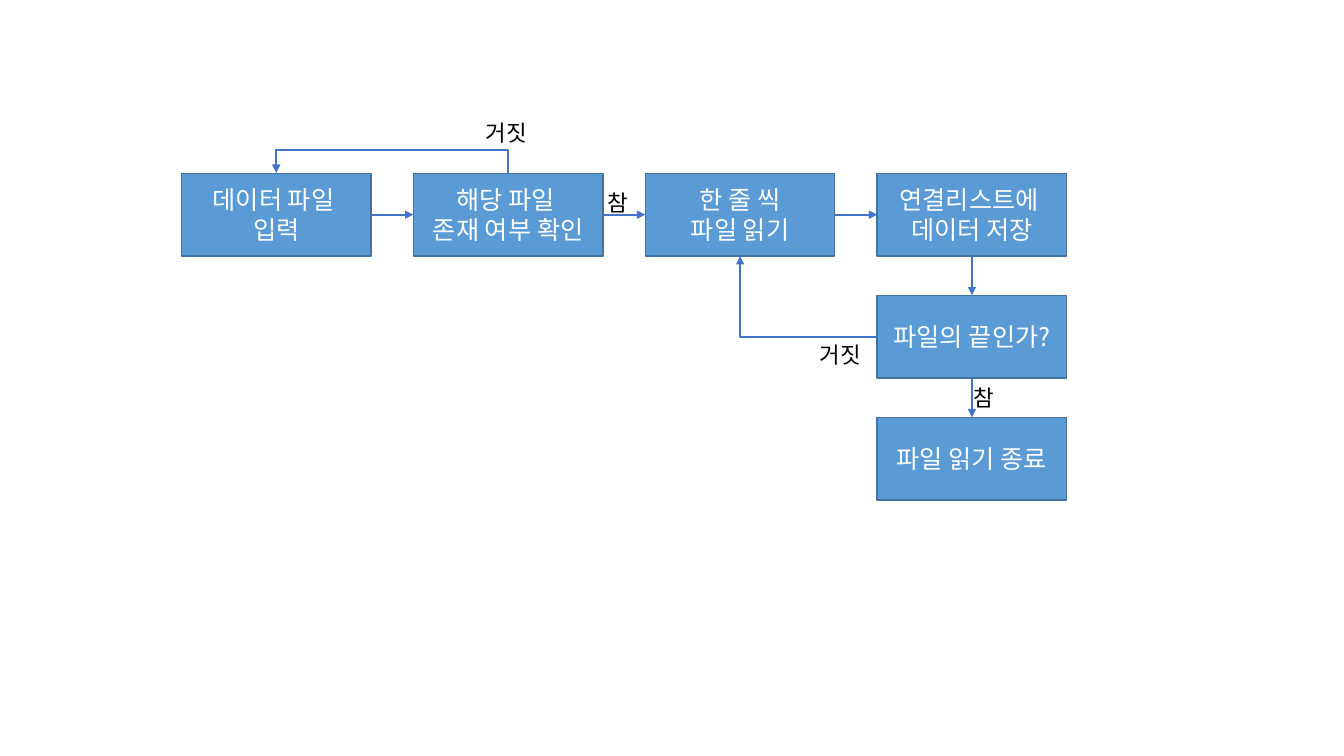
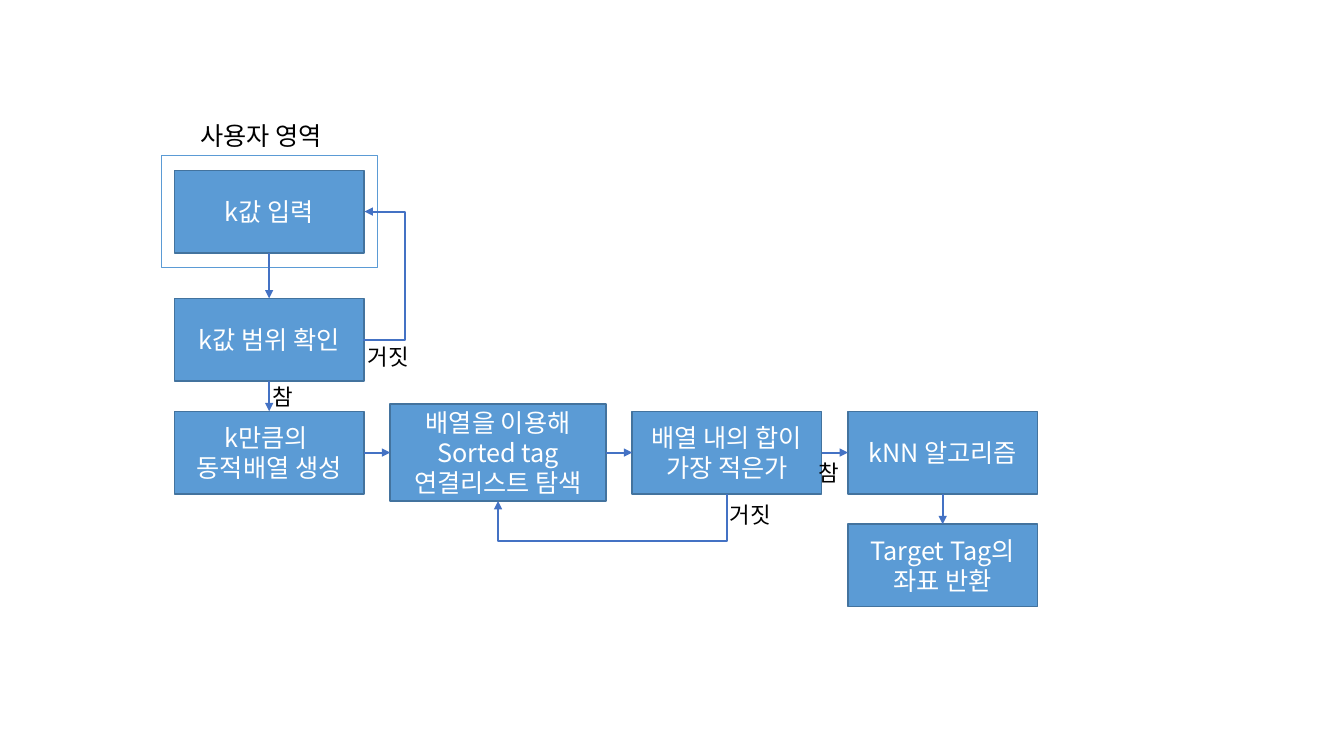
from lxml import etree
from pptx import Presentation
from pptx.dml.color import RGBColor
from pptx.enum.shapes import MSO_CONNECTOR, MSO_SHAPE
from pptx.enum.text import MSO_ANCHOR, MSO_AUTO_SIZE, PP_ALIGN
from pptx.oxml.ns import qn
from pptx.util import Inches, Pt

RECTANGLE = MSO_SHAPE.RECTANGLE
STRAIGHT, ELBOW = MSO_CONNECTOR.STRAIGHT, MSO_CONNECTOR.ELBOW
MIDDLE, CENTER, LEFT_ALIGN = MSO_ANCHOR.MIDDLE, PP_ALIGN.CENTER, PP_ALIGN.LEFT
GROW = MSO_AUTO_SIZE.SHAPE_TO_FIT_TEXT

# Shared style
FONT = "Noto Sans CJK KR"
BOX_FILL, BOX_LINE, ARROW = "5B9BD5", "43739E", "4472C4"
WHITE, BLACK = "FFFFFF", "000000"
STEP_WIDTH, STEP_HEIGHT = 1.88, 0.82
TRUE_TEXT, FALSE_TEXT = "참", "거짓"

# Connection sites of a rectangle, and the heading (degrees) when leaving each
TOP, LEFT, BOTTOM, RIGHT = range(4)
HEADING = {RIGHT: 0, BOTTOM: 90, LEFT: 180, TOP: 270}
UNIT = {0: (1, 0), 90: (0, 1), 180: (-1, 0), 270: (0, -1)}


def color(value):
    return RGBColor.from_string(value)


def write(shape, text, size, ink, align):
    frame = shape.text_frame
    frame.word_wrap = True
    frame.text = text
    for para in frame.paragraphs:
        para.alignment = align
        for span in para.runs:
            span.font.size = Pt(size)
            span.font.name = FONT
            span.font.color.rgb = color(ink)
            east_asian = etree.SubElement(span.font._element, qn("a:ea"))
            east_asian.set("typeface", FONT)


def add_rectangle(page, left, top, width, height, line, weight, fill=None):
    box = page.shapes.add_shape(RECTANGLE, Inches(left), Inches(top),
                                Inches(width), Inches(height))
    box.shadow.inherit = False
    if fill:
        box.fill.solid()
        box.fill.fore_color.rgb = color(fill)
    else:
        box.fill.background()
    box.line.color.rgb = color(line)
    box.line.width = Pt(weight)
    return box


def add_step(page, left, top, text, width=STEP_WIDTH, height=STEP_HEIGHT):
    box = add_rectangle(page, left, top, width, height, BOX_LINE, 1, BOX_FILL)
    box.text_frame.vertical_anchor = MIDDLE
    write(box, text, 18, WHITE, CENTER)
    return box


def add_label(page, left, top, text, width=0.65, height=0.37, size=16):
    box = page.shapes.add_textbox(Inches(left), Inches(top), Inches(width), Inches(height))
    write(box, text, size, BLACK, LEFT_ALIGN)
    box.text_frame.auto_size = GROW
    return box


def add_true_label(page, left, top):
    frame = add_label(page, left, top, TRUE_TEXT, width=0.14).text_frame
    frame.margin_left, frame.margin_right = Inches(0.03), 0


def site_point(box, site):
    x = box.left + {LEFT: 0, RIGHT: box.width}.get(site, box.width // 2)
    y = box.top + {TOP: 0, BOTTOM: box.height}.get(site, box.height // 2)
    return x, y


def add_arrow(page, source, exit_site, target, entry_site, kind=STRAIGHT):
    arrow = page.shapes.add_connector(kind, *site_point(source, exit_site),
                                      *site_point(target, entry_site))
    arrow.begin_connect(source, exit_site)
    arrow.end_connect(target, entry_site)
    arrow.line.color.rgb = color(ARROW)
    arrow.line.width = Pt(1.5)
    head = etree.SubElement(arrow.line._get_or_add_ln(), qn("a:tailEnd"))
    head.set("type", "triangle")
    etree.SubElement(arrow._element.spPr, qn("a:effectLst"))
    return arrow


def add_bent_arrow(page, source, exit_site, target, entry_site, reach=None):
    """Leave by exit_site; turn back after reach inches, or make one corner."""
    arrow = add_arrow(page, source, exit_site, target, entry_site, ELBOW)
    (x1, y1), (x2, y2) = site_point(source, exit_site), site_point(target, entry_site)
    angle = HEADING[exit_site]
    ux, uy = UNIT[angle]
    along = max((x2 - x1) * ux + (y2 - y1) * uy, Inches(0.01))
    across = (y2 - y1) * ux - (x2 - x1) * uy

    # Frame before rotation, centred between the two ends
    arrow.width, arrow.height = along, abs(across)
    arrow.left = (x1 + x2 - along) // 2
    arrow.top = (y1 + y2 - abs(across)) // 2
    transform = arrow._element.spPr.find(qn("a:xfrm"))
    transform.set("rot", str(angle * 60000))
    transform.set("flipH", "0")
    transform.set("flipV", "1" if across < 0 else "0")

    # Corner positions
    geometry = arrow._element.spPr.find(qn("a:prstGeom"))
    if reach is None:
        geometry.set("prst", "bentConnector2")
        return
    adjustments = geometry.find(qn("a:avLst"))
    if adjustments is None:
        adjustments = etree.SubElement(geometry, qn("a:avLst"))
    guide = etree.SubElement(adjustments, qn("a:gd"))
    guide.set("name", "adj1")
    guide.set("fmla", f"val {round(Inches(reach) / along * 100000)}")


def file_reading_flow(page, left, top):
    column, row = 2.3, 1.21

    # Steps across, then down the last column
    across = ["데이터 파일 \n입력", "해당 파일 \n존재 여부 확인",
              "한 줄 씩\n파일 읽기", "연결리스트에 \n데이터 저장"]
    steps = [add_step(page, left + i * column, top, text) for i, text in enumerate(across)]
    for i, text in enumerate(["파일의 끝인가?", "파일 읽기 종료"], 1):
        steps.append(add_step(page, left + 3 * column, top + i * row, text))
    enter, check, read, store, at_end, finish = steps

    # Arrows
    for source, target in [(enter, check), (check, read), (read, store)]:
        add_arrow(page, source, RIGHT, target, LEFT)
    for source, target in [(store, at_end), (at_end, finish)]:
        add_arrow(page, source, BOTTOM, target, TOP)
    add_bent_arrow(page, check, TOP, enter, TOP, reach=0.24)
    add_bent_arrow(page, at_end, LEFT, read, BOTTOM)

    # Branch labels
    add_true_label(page, left + 4.2, top + 0.11)
    add_true_label(page, left + 7.83, top + 2.04)
    add_label(page, left + 2.92, top - 0.59, FALSE_TEXT)
    add_label(page, left + 6.23, top + 1.62, FALSE_TEXT)


def neighbour_flow(page, left, top):
    row_gap, column_gap, wide, tall = 0.3, 0.26, 2.14, 0.96
    check_top = top + 1.27
    row_top = check_top + STEP_HEIGHT + row_gap
    search_left = left + STEP_WIDTH + column_gap
    smallest_left = search_left + wide + column_gap
    last_left = smallest_left + STEP_WIDTH + column_gap

    # User area
    enter = add_step(page, left, top, "k값 입력")
    add_rectangle(page, left - 0.13, top - 0.15, wide, 1.11, BOX_FILL, 0.75)
    add_label(page, left + 0.16, top - 0.55, "사용자 영역", 1.57, 0.4, 18)

    # Steps
    check = add_step(page, left, check_top, "k값 범위 확인")
    create = add_step(page, left, row_top, "k만큼의 \n동적배열 생성")
    search = add_step(page, search_left, row_top - (tall - STEP_HEIGHT) / 2,
                      "배열을 이용해Sorted tag\n연결리스트 탐색", wide, tall)
    smallest = add_step(page, smallest_left, row_top, "배열 내의 합이\n가장 적은가")
    nearest = add_step(page, last_left, row_top, "kNN 알고리즘")
    answer = add_step(page, last_left, row_top + STEP_HEIGHT + row_gap,
                      "Target Tag의\n좌표 반환")

    # Arrows
    for source, target in [(enter, check), (check, create), (nearest, answer)]:
        add_arrow(page, source, BOTTOM, target, TOP)
    for source, target in [(create, search), (search, smallest), (smallest, nearest)]:
        add_arrow(page, source, RIGHT, target, LEFT)
    add_bent_arrow(page, check, RIGHT, enter, RIGHT, reach=0.42)
    add_bent_arrow(page, smallest, BOTTOM, search, BOTTOM, reach=0.47)

    # Branch labels
    add_label(page, left + 1.82, check_top + 0.4, FALSE_TEXT)
    add_label(page, smallest_left + 0.87, row_top + 0.84, FALSE_TEXT)
    add_true_label(page, left + 0.94, check_top + 0.79)
    add_true_label(page, last_left - 0.32, row_top + 0.43)


deck = Presentation()
deck.slide_width, deck.slide_height = Inches(13.33), Inches(7.5)
blank = deck.slide_layouts[6]
file_reading_flow(deck.slides.add_slide(blank), 1.8, 1.72)
neighbour_flow(deck.slides.add_slide(blank), 1.73, 1.69)
deck.save("out.pptx")
